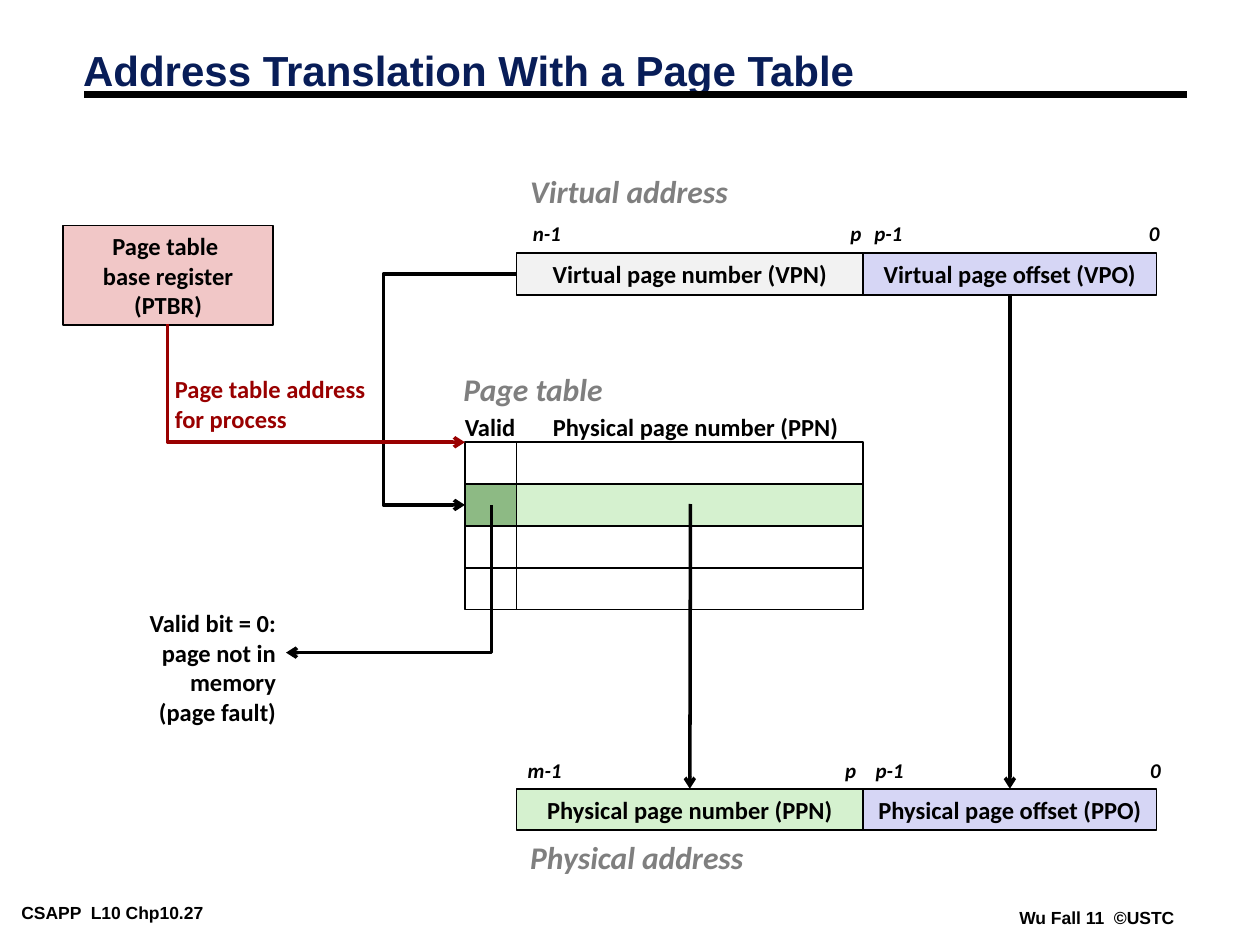
from lxml import etree
from pptx import Presentation
from pptx.dml.color import RGBColor
from pptx.enum.shapes import MSO_CONNECTOR, MSO_SHAPE
from pptx.enum.text import MSO_ANCHOR, PP_ALIGN
from pptx.oxml.ns import qn
from pptx.util import Inches, Pt

RECTANGLE = MSO_SHAPE.RECTANGLE
STRAIGHT, ELBOW = MSO_CONNECTOR.STRAIGHT, MSO_CONNECTOR.ELBOW
LEFT, CENTER, RIGHT = PP_ALIGN.LEFT, PP_ALIGN.CENTER, PP_ALIGN.RIGHT
MIDDLE, TOP = MSO_ANCHOR.MIDDLE, MSO_ANCHOR.TOP
TOP_SIDE, LEFT_SIDE, BOTTOM_SIDE = 0, 1, 2

BLACK = RGBColor(0x00, 0x00, 0x00)
NAVY = RGBColor(0x08, 0x1D, 0x58)
GRAY = RGBColor(0x7F, 0x7F, 0x7F)
RED = RGBColor(0x99, 0x00, 0x00)
PINK = RGBColor(0xF1, 0xC7, 0xC7)
LIGHT_GRAY = RGBColor(0xF2, 0xF2, 0xF2)
LAVENDER = RGBColor(0xD6, 0xD6, 0xF5)
LIGHT_GREEN = RGBColor(0xD5, 0xF1, 0xCF)
GREEN = RGBColor(0x8D, 0xBA, 0x84)

TITLE = "Address Translation With a Page Table"
FOOTERS = [("CSAPP  L10 Chp10.27", 0.1, 7.13, 2.1), ("Wu Fall 11  ©USTC", 8.02, 7.17, 1.38)]
HEADINGS = [
    ("Virtual address", 4.11, 1.32, 1.77),
    ("Physical address", 4.11, 6.6, 1.9),
    ("Page table", 3.58, 2.89, 1.42),
]
LABELS = [
    ("Valid", 3.59, 3.22, 0.61, 0.34, BLACK, LEFT),
    ("Physical page number (PPN)", 4.29, 3.22, 2.47, 0.34, BLACK, LEFT),
    ("Page table address\nfor process", 1.29, 2.92, 1.76, 0.57, RED, LEFT),
    ("Valid bit = 0:\npage not in memory\n(page fault)", 0.46, 4.78, 1.83, 0.8, BLACK, RIGHT),
]
BIT_ROWS = [
    (1.7, [("n-1", 4.13, 0.42), ("p", 6.65, 0.29), ("p-1", 6.84, 0.42), ("0", 9.02, 0.28)]),
    (5.96, [("m-1", 4.09, 0.47), ("p", 6.61, 0.29), ("p-1", 6.85, 0.42), ("0", 9.03, 0.28)]),
]
REGISTER = "Page table \vbase register\n(PTBR)"
ADDRESSES = [
    (2.01, ("Virtual page number (VPN)", LIGHT_GRAY), ("Virtual page offset (VPO)", LAVENDER)),
    (6.26, ("Physical page number (PPN)", LIGHT_GREEN), ("Physical page offset (PPO)", LAVENDER)),
]
TABLE_FILLS = [(None, None), (GREEN, LIGHT_GREEN), (None, None), (None, None)]

VALID_X, NUMBER_X, OFFSET_X, RIGHT_X = 3.69, 4.1, 6.85, 9.18
ROW_HEIGHT, TABLE_TOP, TABLE_STEP = 0.33, 3.51, 0.333

deck = Presentation()
deck.slide_width, deck.slide_height = Inches(10), Inches(7.5)
page = deck.slides.add_slide(deck.slide_layouts[5])


def write(box, text, size=14, color=BLACK, font="Calibri", italic=False, align=LEFT,
          anchor=TOP, wrap=False, inset=(0.1, 0.05), spacing=None):
    frame = box.text_frame
    frame.word_wrap = wrap
    frame.vertical_anchor = anchor
    frame.margin_left = frame.margin_right = Inches(inset[0])
    frame.margin_top = frame.margin_bottom = Inches(inset[1])
    frame.text = text
    for para in frame.paragraphs:
        para.alignment = align
        para.line_spacing = spacing
        for span in para.runs:
            span.font.name, span.font.size = font, Pt(size)
            span.font.bold, span.font.italic = True, italic
            span.font.color.rgb = color


def label(text, left, top, width, height, **style):
    box = page.shapes.add_textbox(Inches(left), Inches(top), Inches(width), Inches(height))
    write(box, text, **style)


def rectangle(left, top, right, height, fill=None, text=None):
    box = page.shapes.add_shape(RECTANGLE, Inches(left), Inches(top),
                                Inches(right - left), Inches(height))
    box.shadow.inherit = False
    box.line.color.rgb, box.line.width = BLACK, Pt(1)
    if fill is None:
        box.fill.background()
    else:
        box.fill.solid()
        box.fill.fore_color.rgb = fill
    if text:
        write(box, text, align=CENTER, anchor=MIDDLE, wrap=True)
    return box


def connect(kind, start, end, color=BLACK, width=2, arrow=True):
    line = page.shapes.add_connector(kind, *(Inches(value) for value in start + end))
    line.line.color.rgb, line.line.width = color, Pt(width)
    if arrow:
        etree.SubElement(line.line._get_or_add_ln(), qn("a:tailEnd"), type="arrow")
    etree.SubElement(line._element.spPr, qn("a:effectLst"))
    return line


def bend_sideways(line, ratio):
    """Set where the middle leg lies, as a multiple of the connector's width."""
    guides = line._element.spPr.find(qn("a:prstGeom")).get_or_add_avLst()
    etree.SubElement(guides, qn("a:gd"), name="adj1", fmla=f"val {round(ratio * 100000)}")


def bend_down_first(line):
    """Turn an elbow into one vertical leg followed by one horizontal leg."""
    rightward = line.end_x > line.begin_x
    center_x, center_y = line.left + line.width // 2, line.top + line.height // 2
    line.width, line.height = line.height, line.width
    line.left, line.top = center_x - line.width // 2, center_y - line.height // 2
    properties = line._element.spPr
    properties.find(qn("a:prstGeom")).set("prst", "bentConnector2")
    frame = properties.find(qn("a:xfrm"))
    frame.set("rot", str((270 if rightward else 90) * 60000))
    frame.set("flipH", "1" if rightward else "0")


for text, left, top, width in FOOTERS:
    label(text, left, top, width, 0.22, size=10, font="Arial", inset=(0.07, 0.03))
connect(STRAIGHT, (0.67, 0.75), (9.42, 0.75), width=4.5, arrow=False)

title = page.shapes.title
title.left, title.top, title.width, title.height = map(Inches, (0.56, 0.36, 8.3, 0.45))
write(title, TITLE, size=24, color=NAVY, font="Arial", anchor=MIDDLE, wrap=True, spacing=0.87)

address_boxes = []
for top, (number, number_fill), (offset, offset_fill) in ADDRESSES:
    address_boxes.append((
        rectangle(NUMBER_X, top, OFFSET_X, ROW_HEIGHT, number_fill, number),
        rectangle(OFFSET_X, top, RIGHT_X, ROW_HEIGHT, offset_fill, offset)))
(vpn, vpo), (ppn, ppo) = address_boxes

valid_cells = []
for row, (valid_fill, number_fill) in enumerate(TABLE_FILLS):
    top = TABLE_TOP + row * TABLE_STEP
    rectangle(NUMBER_X, top, OFFSET_X, ROW_HEIGHT, number_fill)
    valid_cells.append(rectangle(VALID_X, top, NUMBER_X, ROW_HEIGHT, valid_fill))
register = rectangle(0.5, 1.79, 2.17, 0.79, PINK, REGISTER)

for text, left, top, width in HEADINGS:
    label(text, left, top, width, 0.4, size=18, color=GRAY, italic=True)
for text, left, top, width, height, color, align in LABELS:
    label(text, left, top, width, height, color=color, align=align)
for top, bits in BIT_ROWS:
    for text, left, width in bits:
        label(text, left, top, width, 0.3, size=12, italic=True)

lookup = connect(ELBOW, (NUMBER_X, 2.18), (VALID_X, 4.01))
lookup.begin_connect(vpn, LEFT_SIDE)
lookup.end_connect(valid_cells[1], LEFT_SIDE)
bend_sideways(lookup, 2.58)

offset_arrow = connect(STRAIGHT, (8.02, 2.34), (8.02, 6.26))
offset_arrow.begin_connect(vpo, BOTTOM_SIDE)
offset_arrow.end_connect(ppo, TOP_SIDE)
number_arrow = connect(STRAIGHT, (5.48, 4), (5.48, 6.26))
number_arrow.end_connect(ppn, TOP_SIDE)

bend_down_first(connect(ELBOW, (3.9, 4.01), (2.27, 5.18)))
bend_down_first(connect(ELBOW, (1.33, 2.57), (VALID_X, TABLE_TOP), color=RED))

deck.save("out.pptx")
